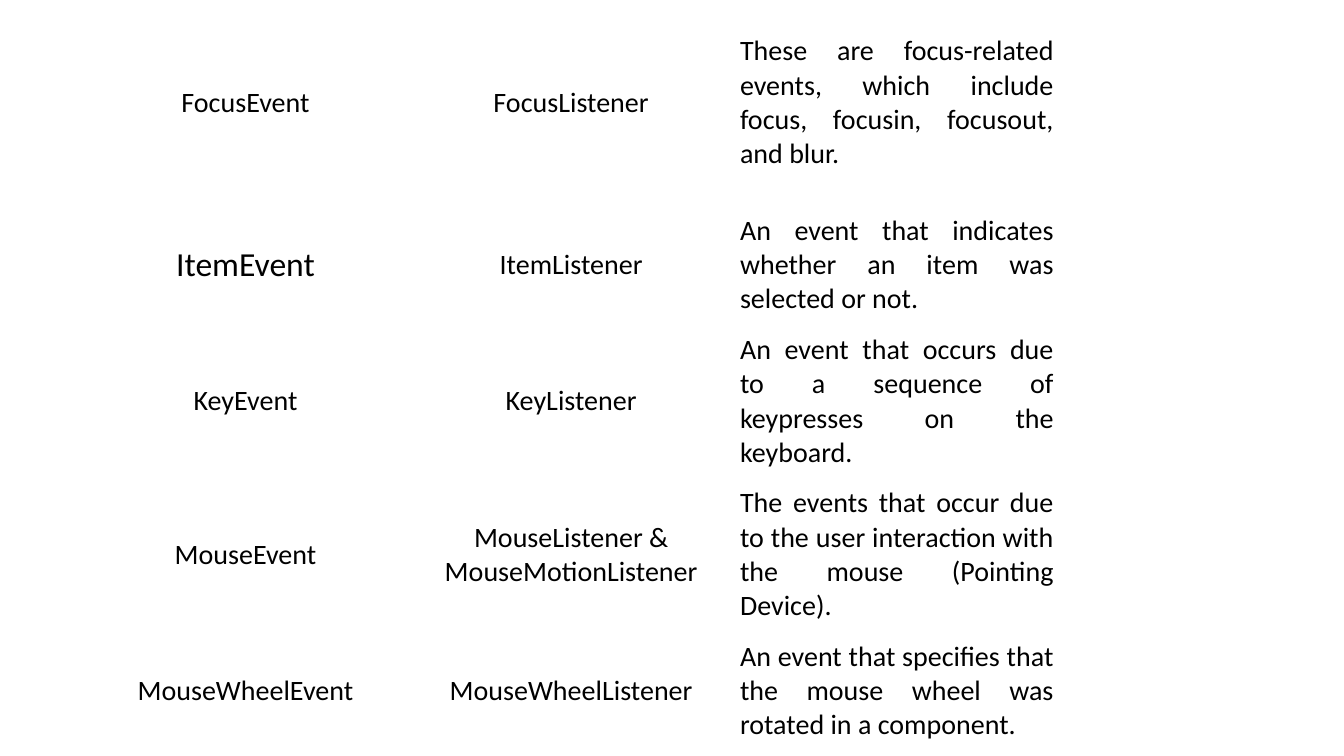
"""Builds a slide with a table of Java events, their listeners and descriptions."""
from pptx import Presentation
from pptx.dml.color import RGBColor
from pptx.enum.text import MSO_ANCHOR, PP_ALIGN
from pptx.util import Inches, Pt


def color(hex_code):
    return RGBColor.from_string(hex_code)


EVENTS = [
    ("FocusEvent", "FocusListener",
     "These are focus-related events, which include focus, focusin, focusout, and blur."),
    ("ItemEvent", "ItemListener",
     "An event that indicates whether an item was selected or not."),
    ("KeyEvent", "KeyListener",
     "An event that occurs due to a sequence of keypresses on the keyboard."),
    ("MouseEvent", "MouseListener & MouseMotionListener",
     "The events that occur due to the user interaction with the mouse (Pointing Device)."),
    ("MouseWheelEvent", "MouseWheelListener",
     "An event that specifies that the mouse wheel was rotated in a component."),
]
ROW_HEIGHTS = [2.04, 1.18, 1.52, 1.52, 1.18]
COLUMN_WIDTH = 3.23
ALIGNMENTS = [PP_ALIGN.CENTER, PP_ALIGN.CENTER, PP_ALIGN.JUSTIFY]

prs = Presentation()
prs.slide_width = Inches(13.33)
prs.slide_height = Inches(7.5)
slide = prs.slides.add_slide(prs.slide_layouts[6])

event_table = slide.shapes.add_table(
    len(EVENTS), len(ALIGNMENTS), Inches(0.82), Inches(0),
    Inches(COLUMN_WIDTH * len(ALIGNMENTS)), Inches(sum(ROW_HEIGHTS))).table
event_table.first_row = False
event_table.horz_banding = False
for column in event_table.columns:
    column.width = Inches(COLUMN_WIDTH)

for row, height, event in zip(event_table.rows, ROW_HEIGHTS, EVENTS):
    row.height = Inches(height)
    for cell, wording, alignment in zip(row.cells, event, ALIGNMENTS):
        cell.fill.background()
        cell.vertical_anchor = MSO_ANCHOR.MIDDLE
        cell.margin_left = cell.margin_right = Inches(0.06)
        cell.margin_top = cell.margin_bottom = Inches(0.08)
        paragraph = cell.text_frame.paragraphs[0]
        paragraph.alignment = alignment
        run = paragraph.add_run()
        run.text = wording
        run.font.name = "Calibri"
        run.font.size = Pt(24 if wording == "ItemEvent" else 20)
        run.font.color.rgb = color("000000")

prs.save("out.pptx")
